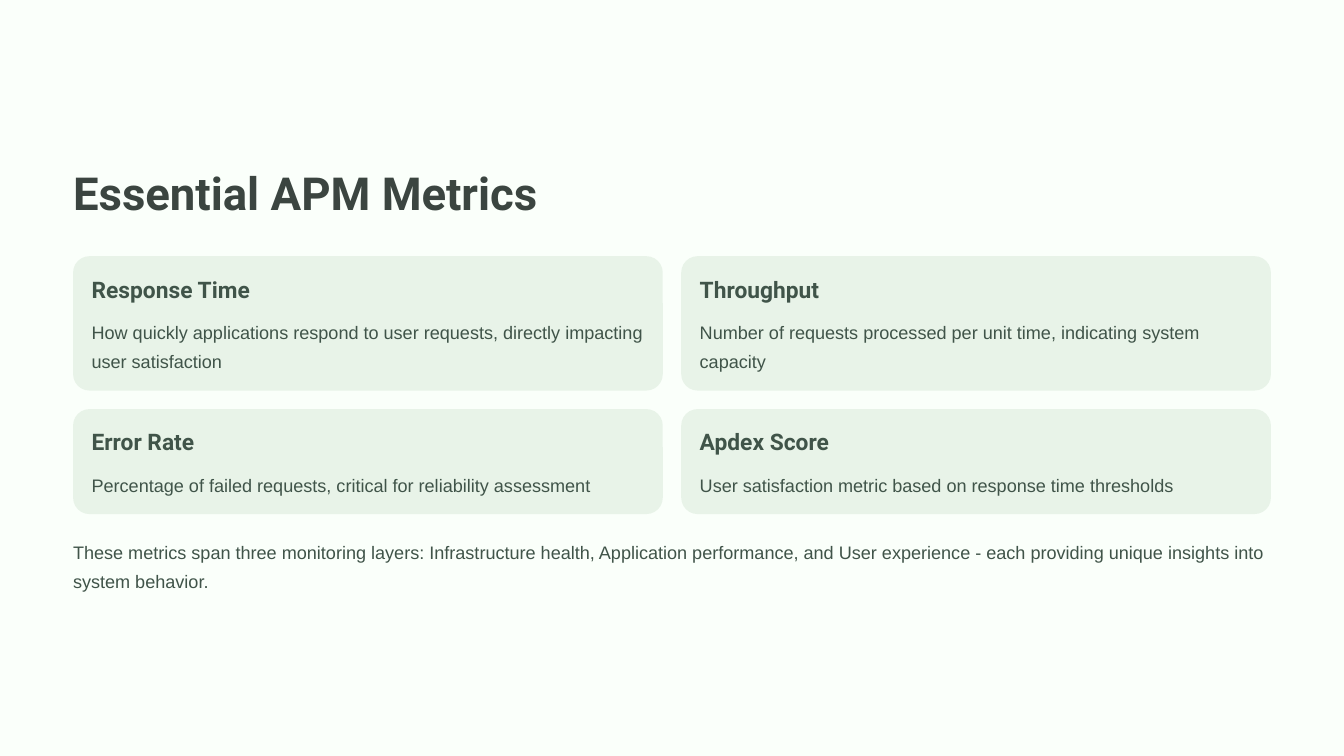
"""Build the Essential APM Metrics slide with a two-by-two grid of cards."""
from pptx import Presentation
from pptx.dml.color import RGBColor
from pptx.enum.shapes import MSO_SHAPE
from pptx.util import Inches, Pt

ROUNDED = MSO_SHAPE.ROUNDED_RECTANGLE

TITLE = "Essential APM Metrics"
CARD_ROWS = [
    (1.6, [
        ("Response Time", "How quickly applications respond to user requests, "
                          "directly impacting user satisfaction"),
        ("Throughput", "Number of requests processed per unit time, "
                       "indicating system capacity"),
    ]),
    (1.25, [
        ("Error Rate", "Percentage of failed requests, critical for reliability assessment"),
        ("Apdex Score", "User satisfaction metric based on response time thresholds"),
    ]),
]
SUMMARY = ("These metrics span three monitoring layers: Infrastructure health, "
           "Application performance, and User experience - each providing "
           "unique insights into system behavior.")

COLORS = {"background": "FAFFFA", "card": "E8F3E8", "title": "3B4540", "text": "405449"}
HEADING_FORMAT = {"size": 19.5, "spacing": 24, "font": "Roboto", "bold": True}
BODY_FORMAT = {"size": 15.5, "spacing": 25, "font": "Arial"}

MARGIN = 0.87
CONTENT_WIDTH = 14.26
GAP = 0.22
PADDING = 0.22
CARD_WIDTH = (CONTENT_WIDTH - GAP) / 2
CARD_TOP = 3.05
CORNER_RADIUS = 0.195
HEADING_HEIGHT = 0.34
BODY_OFFSET = 0.69


def add_text(slide, text, left, top, width, height, *, size, spacing, font,
             bold=False, color="text"):
    shape = slide.shapes.add_textbox(Inches(left), Inches(top), Inches(width), Inches(height))
    frame = shape.text_frame
    frame.word_wrap = True
    frame.margin_left = frame.margin_right = frame.margin_top = frame.margin_bottom = 0
    paragraph = frame.paragraphs[0]
    paragraph.line_spacing = Pt(spacing)
    run = paragraph.add_run()
    run.text = text
    run.font.name = font
    run.font.size = Pt(size)
    run.font.bold = bold
    run.font.color.rgb = RGBColor.from_string(COLORS[color])


def add_card(slide, heading, body, left, top, height):
    card = slide.shapes.add_shape(
        ROUNDED, Inches(left), Inches(top), Inches(CARD_WIDTH), Inches(height))
    card.adjustments[0] = CORNER_RADIUS / height
    card.shadow.inherit = False
    card.fill.solid()
    card.fill.fore_color.rgb = RGBColor.from_string(COLORS["card"])
    card.line.fill.background()

    text_left = left + PADDING
    text_width = CARD_WIDTH - 2 * PADDING
    add_text(slide, heading, text_left, top + PADDING, text_width, HEADING_HEIGHT,
             **HEADING_FORMAT)
    add_text(slide, body, text_left, top + BODY_OFFSET, text_width,
             height - BODY_OFFSET - PADDING, **BODY_FORMAT)


def main():
    presentation = Presentation()
    presentation.slide_width = Inches(16)
    presentation.slide_height = Inches(9)
    slide = presentation.slides.add_slide(presentation.slide_layouts[6])
    slide.background.fill.solid()
    slide.background.fill.fore_color.rgb = RGBColor.from_string(COLORS["background"])

    add_text(slide, TITLE, MARGIN, 1.94, CONTENT_WIDTH, 0.68,
             size=39, spacing=48.5, font="Roboto", bold=True, color="title")

    top = CARD_TOP
    for height, cards in CARD_ROWS:
        for column, (heading, body) in enumerate(cards):
            left = MARGIN + column * (CARD_WIDTH + GAP)
            add_card(slide, heading, body, left, top, height)
        top += height + GAP

    add_text(slide, SUMMARY, MARGIN, 6.36, CONTENT_WIDTH, 0.69, **BODY_FORMAT)
    presentation.save("out.pptx")


if __name__ == "__main__":
    main()
